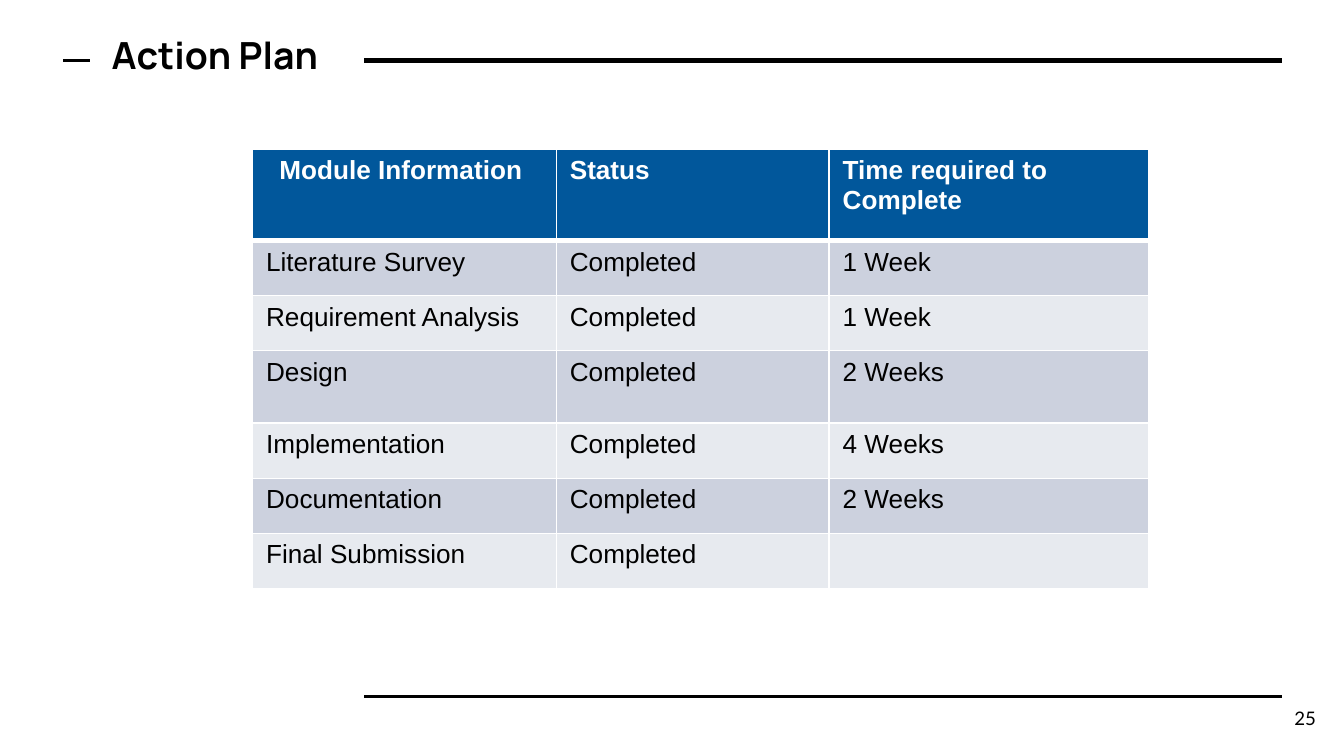
from dataclasses import dataclass

from pptx import Presentation
from pptx import util as u
from pptx.dml.color import RGBColor
from pptx.enum import shapes, text
from pptx.oxml import parse_xml
from pptx.oxml.ns import nsdecls

SLIDE_WIDTH = 10
SLIDE_HEIGHT = SLIDE_WIDTH * 9 / 16
BLACK, WHITE = "000000", "FFFFFF"
HEADER_FILL = "01579B"
BAND_FILLS = ("CCD1DE", "E7EAEF")


@dataclass
class Rule:
    left: float
    right: float
    y: float
    weight: float


@dataclass
class Module:
    name: str
    status: str
    time: str
    height: float = 0.41


RULES = [
    Rule(2.71, 9.54, 0.45, 3),
    Rule(2.71, 9.54, 5.18, 1.5),
    Rule(0.47, 0.67, 0.45, 1.5),
]
HEADER = Module("Module Information ", "Status", "Time required to Complete", 0.68)
MODULES = [
    Module("Literature Survey", "Completed", "1 Week"),
    Module("Requirement Analysis", "Completed", "1 Week"),
    Module("Design", "Completed", "2 Weeks", 0.54),
    Module("Implementation", "Completed", "4 Weeks"),
    Module("Documentation", "Completed", "2 Weeks"),
    Module("Final Submission", "Completed", ""),
]
COLUMN_WIDTHS = (2.26, 2.03, 2.38)


def rgb(value: str) -> RGBColor:
    return RGBColor.from_string(value)


def write(frame, words: str, *, size: float, font: str, color: str = BLACK,
          bold: bool = False, align=text.PP_ALIGN.LEFT) -> None:
    frame.word_wrap = True
    paragraph = frame.paragraphs[0]
    paragraph.alignment = align
    if not words:
        return
    run = paragraph.add_run()
    run.text = words
    run.font.size = u.Pt(size)
    run.font.name = font
    run.font.bold = bold
    run.font.color.rgb = rgb(color)


def place(shape, left: float, top: float, width: float, height: float, anchor) -> None:
    shape.left, shape.top = u.Inches(left), u.Inches(top)
    shape.width, shape.height = u.Inches(width), u.Inches(height)
    frame = shape.text_frame
    frame.auto_size = text.MSO_AUTO_SIZE.NONE
    frame.vertical_anchor = anchor
    frame.margin_left = frame.margin_right = u.Inches(0.1)
    frame.margin_top = frame.margin_bottom = u.Inches(0.1)


def draw_rule(slide, rule: Rule) -> None:
    line = slide.shapes.add_connector(
        shapes.MSO_CONNECTOR.STRAIGHT, u.Inches(rule.left), u.Inches(rule.y),
        u.Inches(rule.right), u.Inches(rule.y))
    line.line.color.rgb = rgb(BLACK)
    line.line.width = u.Pt(rule.weight)
    line._element.spPr.append(parse_xml(f"<a:effectLst {nsdecls('a')}/>"))


def set_borders(cell, top: float, bottom: float) -> None:
    properties = cell._tc.get_or_add_tcPr()
    weights = (("L", 1), ("R", 1), ("T", top), ("B", bottom))
    for index, (side, weight) in enumerate(weights):
        properties.insert(index, parse_xml(
            f'<a:ln{side} {nsdecls("a")} w="{u.Pt(weight)}"><a:solidFill>'
            f'<a:srgbClr val="{WHITE}"/></a:solidFill></a:ln{side}>'))


def draw_plan(slide, left: float, top: float) -> None:
    rows = [HEADER, *MODULES]
    plan = slide.shapes.add_table(
        len(rows), len(COLUMN_WIDTHS), u.Inches(left), u.Inches(top),
        u.Inches(sum(COLUMN_WIDTHS)), u.Inches(sum(m.height for m in rows))).table
    for column, width in zip(plan.columns, COLUMN_WIDTHS):
        column.width = u.Inches(width)
    for r, module in enumerate(rows):
        plan.rows[r].height = u.Inches(module.height)
        is_header = r == 0
        for c, words in enumerate((module.name, module.status, module.time)):
            cell = plan.cell(r, c)
            cell.fill.solid()
            cell.fill.fore_color.rgb = rgb(
                HEADER_FILL if is_header else BAND_FILLS[(r - 1) % 2])
            set_borders(cell, 3 if r == 1 else 1, 3 if is_header else 1)
            centred = is_header and c == 0
            write(cell.text_frame, words, size=14, font="Arial",
                  color=WHITE if is_header else BLACK, bold=is_header,
                  align=text.PP_ALIGN.CENTER if centred else text.PP_ALIGN.LEFT)


def main() -> None:
    deck = Presentation()
    deck.slide_width = u.Inches(SLIDE_WIDTH)
    deck.slide_height = u.Inches(SLIDE_HEIGHT)
    slide = deck.slides.add_slide(deck.slide_layouts[5])

    # Rules beside the title and above the page number
    for rule in RULES:
        draw_rule(slide, rule)

    # Title
    title = slide.shapes.title
    place(title, 0.73, 0.14, 2.44, 0.69, text.MSO_ANCHOR.TOP)
    write(title.text_frame, "Action Plan", size=20, font="Manrope", bold=True)

    # Page number
    page_number = slide.shapes.add_textbox(0, 0, 0, 0)
    place(page_number, 9.29, 5.13, 0.6, 0.43, text.MSO_ANCHOR.MIDDLE)
    write(page_number.text_frame, "25", size=10, font="Lato",
          align=text.PP_ALIGN.RIGHT)

    # Module table
    draw_plan(slide, 1.88, 1.11)

    deck.save("out.pptx")


if __name__ == "__main__":
    main()
